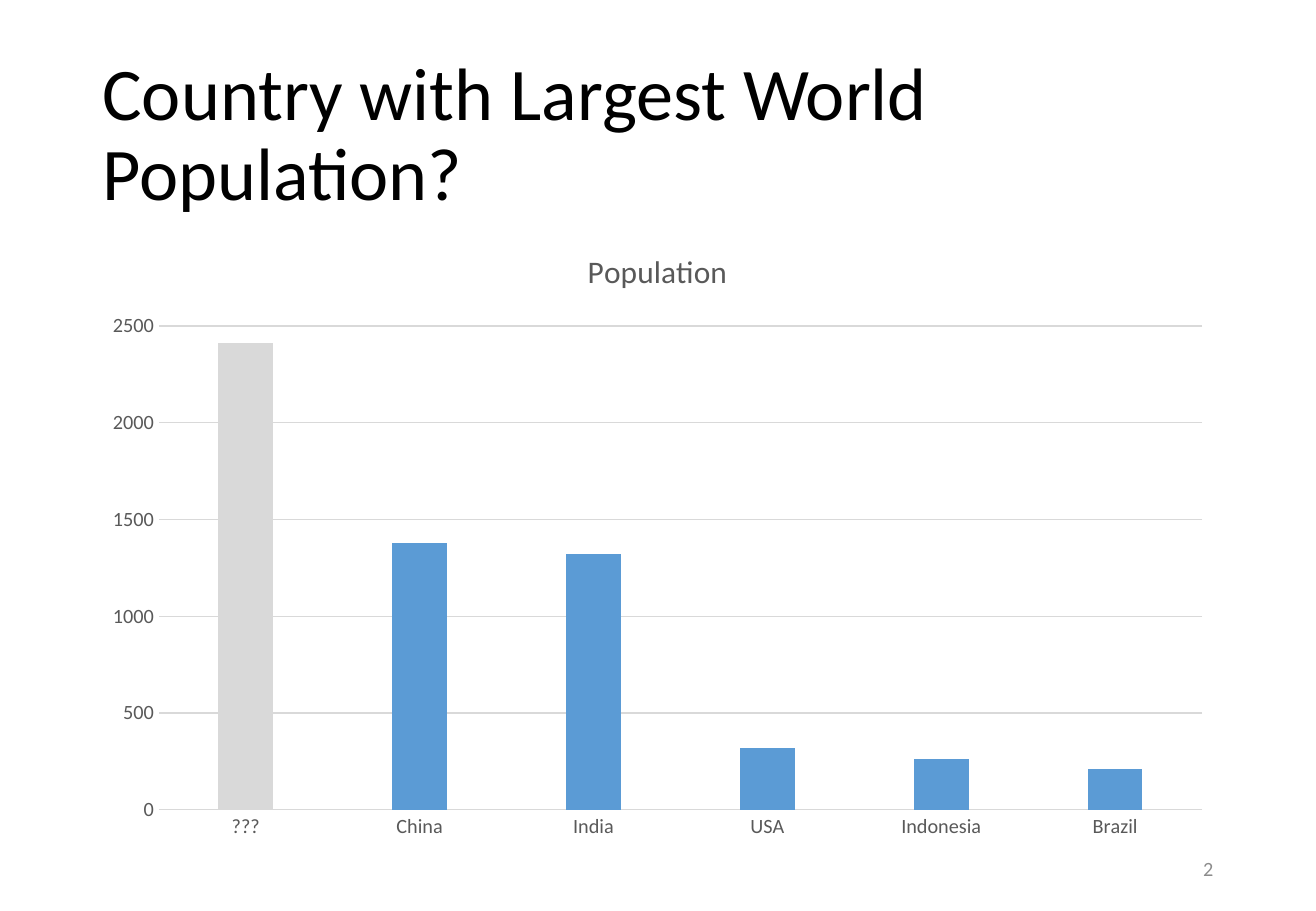
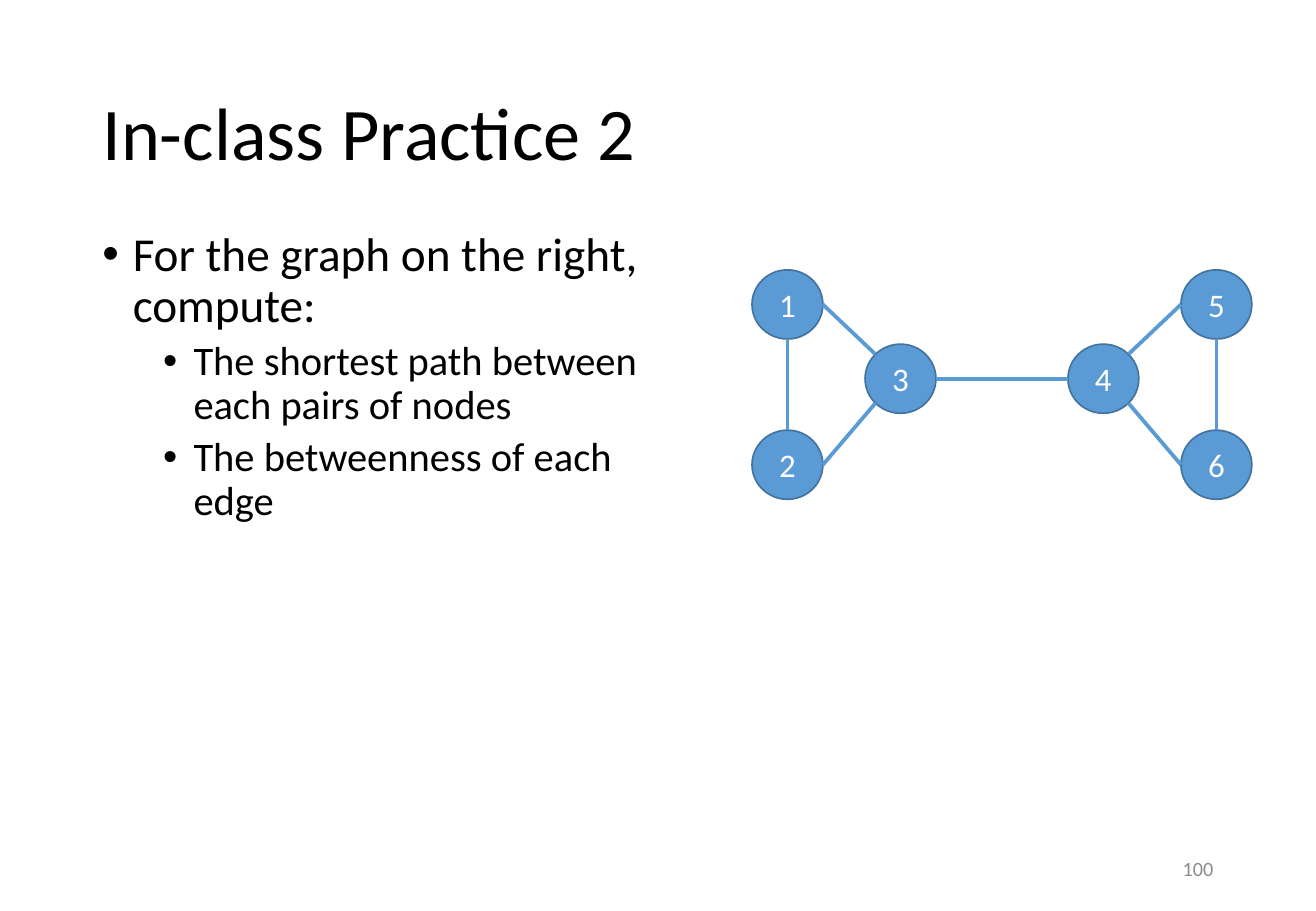
from lxml import etree
from pptx import Presentation
from pptx.chart.data import CategoryChartData
from pptx.dml.color import RGBColor
from pptx.enum import chart as charts, shapes, text
from pptx.oxml import ns
from pptx.util import Pt

BLACK = RGBColor(0x00, 0x00, 0x00)
WHITE = RGBColor(0xFF, 0xFF, 0xFF)
BLUE = RGBColor(0x5B, 0x9B, 0xD5)
DARK_BLUE = RGBColor(0x43, 0x73, 0x9E)
LIGHT_GRAY = RGBColor(0xD9, 0xD9, 0xD9)
LABEL_GRAY = RGBColor(0x59, 0x59, 0x59)
NUMBER_GRAY = RGBColor(0x8C, 0x8C, 0x8C)

FONT = "Calibri"
LEFT, CONTENT_TOP, WIDTH, CONTENT_HEIGHT = 53.5, 133, 672.5, 371.5
TITLE_AND_BODY, TITLE_ONLY = 1, 5
NODE_WIDTH, NODE_HEIGHT = 42, 41
# Per list level: size, left indent, space before
LEVELS = [(28, 18, 10), (24, 54, 5)]


class Deck:
    """Holds the shared style and the slide being built."""

    def __init__(self):
        self.presentation = Presentation()
        self.presentation.slide_width = Pt(780)
        self.presentation.slide_height = Pt(540)
        self.slide = None

    def style(self, font, size, color):
        font.name, font.size, font.bold = FONT, Pt(size), False
        font.color.rgb = color

    def place(self, shape, left, top, width, height):
        shape.left, shape.top = Pt(left), Pt(top)
        shape.width, shape.height = Pt(width), Pt(height)

    def add_slide(self, layout, title, number):
        layouts = self.presentation.slide_layouts
        self.slide = self.presentation.slides.add_slide(layouts[layout])
        # Title
        shape = self.slide.shapes.title
        self.place(shape, LEFT, 28.75, WIDTH, 104.25)
        frame = shape.text_frame
        frame.text = title
        frame.auto_size = text.MSO_AUTO_SIZE.NONE
        frame.vertical_anchor = text.MSO_ANCHOR.MIDDLE
        paragraph = frame.paragraphs[0]
        paragraph.alignment = text.PP_ALIGN.LEFT
        paragraph.line_spacing = 0.9
        self.style(paragraph.runs[0].font, 44, BLACK)
        # Slide number
        box = self.slide.shapes.add_textbox(Pt(550.75), Pt(500.5), Pt(175.5), Pt(28.75))
        self.label(box, number, 12, NUMBER_GRAY, text.PP_ALIGN.RIGHT)

    def label(self, shape, words, size, color, alignment):
        frame = shape.text_frame
        frame.text = words
        frame.word_wrap = True
        frame.vertical_anchor = text.MSO_ANCHOR.MIDDLE
        frame.paragraphs[0].alignment = alignment
        self.style(frame.paragraphs[0].runs[0].font, size, color)

    def bullets(self, items, width):
        body = self.slide.placeholders[1]
        self.place(body, LEFT, CONTENT_TOP, width, CONTENT_HEIGHT)
        frame = body.text_frame
        frame.text = "\n".join(words for level, words in items)
        frame.auto_size = text.MSO_AUTO_SIZE.NONE
        for index, (paragraph, (level, words)) in enumerate(zip(frame.paragraphs, items)):
            size, indent, space = LEVELS[level]
            paragraph.level = level
            properties = paragraph._p.get_or_add_pPr()
            properties.set("marL", str(Pt(indent)))
            properties.set("indent", str(Pt(-18)))
            etree.SubElement(properties, ns.qn("a:buFont")).set("typeface", "Arial")
            etree.SubElement(properties, ns.qn("a:buChar")).set("char", "•")
            paragraph.line_spacing = 0.9
            paragraph.space_before = Pt(space if index else 0)
            self.style(paragraph.runs[0].font, size, BLACK)

    def column_chart(self, title, values, highlighted):
        data = CategoryChartData()
        data.categories = list(values)
        data.add_series(title, list(values.values()))
        chart = self.slide.shapes.add_chart(
            charts.XL_CHART_TYPE.COLUMN_CLUSTERED, Pt(LEFT), Pt(CONTENT_TOP),
            Pt(WIDTH), Pt(CONTENT_HEIGHT), data).chart
        self.style(chart.font, 10, BLACK)
        chart.has_legend = False
        chart.has_title = True
        heading = chart.chart_title.text_frame
        heading.text = title
        self.style(heading.paragraphs[0].runs[0].font, 18.6, LABEL_GRAY)
        # Columns
        plot = chart.plots[0]
        plot.gap_width, plot.overlap = 219, -27
        plot.vary_by_categories = False
        series = plot.series[0]
        for part, color in ((series, BLUE), (series.points[highlighted], LIGHT_GRAY)):
            part.format.fill.solid()
            part.format.fill.fore_color.rgb = color
        # Axes
        for axis in (chart.category_axis, chart.value_axis):
            axis.major_tick_mark = axis.minor_tick_mark = charts.XL_TICK_MARK.NONE
            self.style(axis.tick_labels.font, 12, LABEL_GRAY)
        value_axis = chart.value_axis
        value_axis.minimum_scale, value_axis.maximum_scale = 0, 2500
        value_axis.major_unit = 500
        value_axis.format.line.fill.background()
        value_axis.has_major_gridlines = True
        for part in (chart.category_axis, value_axis.major_gridlines):
            part.format.line.color.rgb = LIGHT_GRAY
            part.format.line.width = Pt(0.75)

    def node(self, name, left, top):
        shape = self.slide.shapes.add_shape(
            shapes.MSO_SHAPE.OVAL, Pt(left), Pt(top), Pt(NODE_WIDTH), Pt(NODE_HEIGHT))
        shape.shadow.inherit = False
        shape.fill.solid()
        shape.fill.fore_color.rgb = BLUE
        shape.line.color.rgb = DARK_BLUE
        shape.line.width = Pt(1)
        self.label(shape, name, 19.5, WHITE, text.PP_ALIGN.CENTER)
        return shape

    def edge(self, start, start_side, end, end_side):
        """Join two nodes; a side is a (right, down) direction from the centre."""
        points = []
        for shape, (right, down) in ((start, start_side), (end, end_side)):
            points += [int(shape.left + shape.width * (1 + right) / 2),
                       int(shape.top + shape.height * (1 + down) / 2)]
        line = self.slide.shapes.add_connector(shapes.MSO_CONNECTOR.STRAIGHT, *points)
        line.line.color.rgb = BLUE
        line.line.width = Pt(2.25)
        etree.SubElement(line._element.spPr, ns.qn("a:effectLst"))


def main():
    deck = Deck()

    # Population chart
    deck.add_slide(TITLE_ONLY, "Country with Largest World Population?", "2")
    population = {"???": 2410, "China": 1380, "India": 1320,
                  "USA": 320, "Indonesia": 260, "Brazil": 210}
    deck.column_chart("Population", population, highlighted=0)

    # Graph exercise
    deck.add_slide(TITLE_AND_BODY, "In-class Practice 2", "100")
    deck.bullets([(0, "For the graph on the right, compute:"),
                  (1, "The shortest path between each pairs of nodes"),
                  (1, "The betweenness of each edge")], width=360.5)

    outer_left, inner_left, inner_right, outer_right = 445.75, 512.75, 633, 700
    upper, middle, lower = 160, 204, 255
    positions = {"1": (outer_left, upper), "2": (outer_left, lower),
                 "3": (inner_left, middle), "4": (inner_right, middle),
                 "5": (outer_right, upper), "6": (outer_right, lower)}
    nodes = {name: deck.node(name, *position) for name, position in positions.items()}

    # Each triangle points to the centre; direction is the way it points
    diagonal = 0.71
    for top, bottom, inner, direction in (("1", "2", "3", 1), ("5", "6", "4", -1)):
        deck.edge(nodes[top], (0, 1), nodes[bottom], (0, -1))
        for outer, down in ((top, -diagonal), (bottom, diagonal)):
            deck.edge(nodes[outer], (direction, 0),
                      nodes[inner], (-direction * diagonal, down))
    deck.edge(nodes["3"], (1, 0), nodes["4"], (-1, 0))

    deck.presentation.save("out.pptx")


if __name__ == "__main__":
    main()
